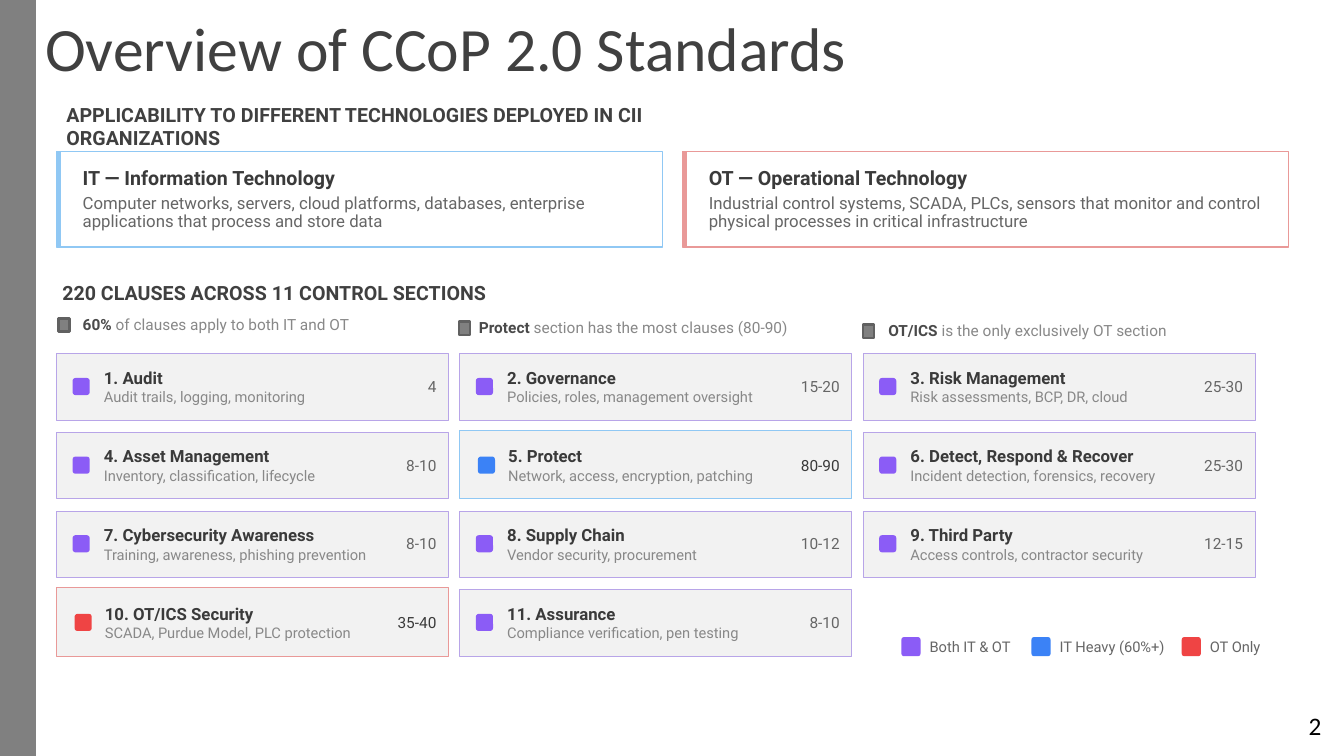
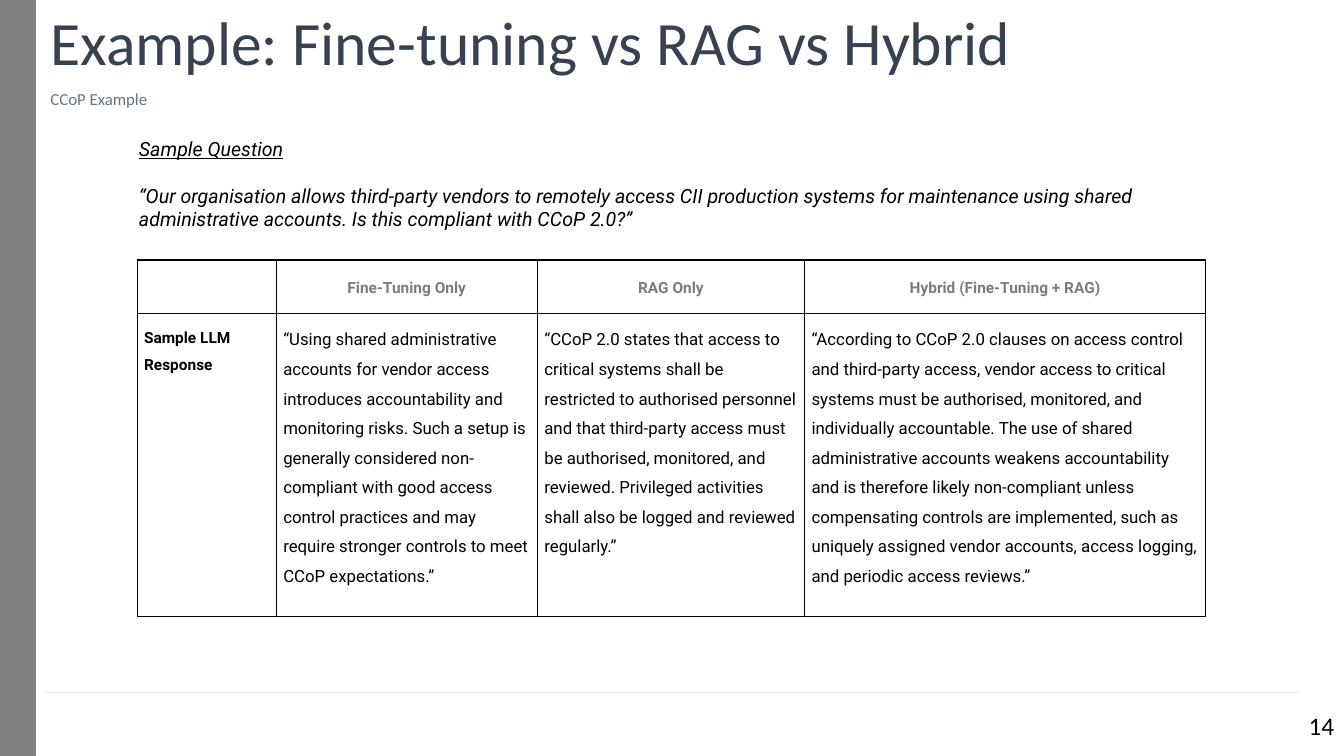
from lxml import etree
from pptx import Presentation
from pptx.dml.color import RGBColor
from pptx.enum import shapes, text
from pptx.oxml import ns
from pptx.util import Inches, Pt

WHITE = RGBColor(0xFF, 0xFF, 0xFF)
BLACK = RGBColor(0, 0, 0)
GRAY = RGBColor(0x80, 0x80, 0x80)
MARKER_EDGE = RGBColor(0x61, 0x61, 0x61)
CARD_GRAY = RGBColor(0xF2, 0xF2, 0xF2)
HEADING = RGBColor(0x40, 0x40, 0x40)
INK = RGBColor(0x3A, 0x3A, 0x3A)
STRONG = RGBColor(0x4A, 0x4A, 0x4A)
BODY = RGBColor(0x66, 0x66, 0x66)
MUTED = RGBColor(0x88, 0x88, 0x88)
SLATE = RGBColor(0x37, 0x41, 0x51)
SUBTITLE = RGBColor(0x64, 0x74, 0x8B)
RULE = RGBColor(0xE2, 0xE8, 0xF0)
TABLE_HEAD = RGBColor(0x7C, 0x7C, 0x7C)
PURPLE = RGBColor(0x8B, 0x5C, 0xF6)
BLUE = RGBColor(0x3B, 0x82, 0xF6)
RED = RGBColor(0xEF, 0x44, 0x44)
PALE_PURPLE = RGBColor(0xB8, 0xA5, 0xE8)
PALE_BLUE = RGBColor(0x90, 0xC8, 0xF4)
PALE_RED = RGBColor(0xE9, 0x99, 0x98)

EDGE = {PURPLE: PALE_PURPLE, BLUE: PALE_BLUE, RED: PALE_RED}

TECHNOLOGIES = [
    ("IT — Information Technology",
     "Computer networks, servers, cloud platforms, databases, enterprise "
     "applications that process and store data", PALE_BLUE),
    ("OT — Operational Technology",
     "Industrial control systems, SCADA, PLCs, sensors that monitor and control "
     "physical processes in critical infrastructure", PALE_RED),
]
HEADINGS = [
    (0.56, 1.1, 7.07, "APPLICABILITY TO DIFFERENT TECHNOLOGIES DEPLOYED IN CII ORGANIZATIONS"),
    (0.52, 2.75, 6.24, "220 CLAUSES ACROSS 11 CONTROL SECTIONS"),
]
NOTES = [
    (0.58, 0.82, 3.13, "60%", " of clauses apply to both IT and OT"),
    (4.55, 4.75, 3.16, "Protect", " section has the most clauses (80-90)"),
    (8.56, 8.81, 3.19, "OT/ICS", " is the only exclusively OT section"),
]
SECTIONS = [
    ("1. Audit", "Audit trails, logging, monitoring", "4", PURPLE),
    ("2. Governance", "Policies, roles, management oversight", "15-20", PURPLE),
    ("3. Risk Management", "Risk assessments, BCP, DR, cloud", "25-30", PURPLE),
    ("4. Asset Management", "Inventory, classification, lifecycle", "8-10", PURPLE),
    ("5. Protect", "Network, access, encryption, patching", "80-90", BLUE),
    ("6. Detect, Respond & Recover", "Incident detection, forensics, recovery", "25-30", PURPLE),
    ("7. Cybersecurity Awareness", "Training, awareness, phishing prevention", "8-10", PURPLE),
    ("8. Supply Chain", "Vendor security, procurement", "10-12", PURPLE),
    ("9. Third Party", "Access controls, contractor security", "12-15", PURPLE),
    ("10. OT/ICS Security", "SCADA, Purdue Model, PLC protection", "35-40", RED),
    ("11. Assurance", "Compliance verification, pen testing", "8-10", PURPLE),
]
LEGEND = [
    (8.94, 0.95, "Both IT & OT", PURPLE),
    (10.23, 1.18, "IT Heavy (60%+)", BLUE),
    (11.72, 0.65, "OT Only", RED),
]
QUESTION_LABEL = "Sample Question"
QUESTION = ("“Our organisation allows third-party vendors to remotely access CII production "
            "systems for maintenance using shared administrative accounts. Is this compliant "
            "with CCoP 2.0?”")
COLUMN_WIDTHS = [1.38, 2.59, 2.65, 3.98]
ROW_HEIGHTS = [0.53, 3.01]
RESPONSES = [
    ["", "Fine-Tuning Only", "RAG Only", "Hybrid (Fine-Tuning + RAG)"],
    ["Sample LLM Response",
     "“Using shared administrative accounts for vendor access introduces accountability and "
     "monitoring risks. Such a setup is generally considered non-compliant with good access "
     "control practices and may require stronger controls to meet CCoP expectations.”",
     "“CCoP 2.0 states that access to critical systems shall be restricted to authorised "
     "personnel and that third-party access must be authorised, monitored, and reviewed. "
     "Privileged activities shall also be logged and reviewed regularly.”",
     "“According to CCoP 2.0 clauses on access control and third-party access, vendor access "
     "to critical systems must be authorised, monitored, and individually accountable. The "
     "use of shared administrative accounts weakens accountability and is therefore likely "
     "non-compliant unless compensating controls are implemented, such as uniquely assigned "
     "vendor accounts, access logging, and periodic access reviews.”"],
]


def add_run(paragraph, words, size, color, bold=False, font="Roboto"):
    run = paragraph.add_run()
    run.text = words
    run.font.name = font
    run.font.size = Pt(size)
    run.font.bold = bold
    run.font.color.rgb = color
    return run


def add_box(slide, left, top, width, height, inset=True):
    box = slide.shapes.add_textbox(Inches(left), Inches(top), Inches(width), Inches(height))
    frame = box.text_frame
    frame.word_wrap = True
    if not inset:
        frame.margin_left = frame.margin_right = frame.margin_top = frame.margin_bottom = 0
    return frame


def add_label(slide, left, top, width, height, words, size, color, spacing,
              bold=False, font="Roboto"):
    paragraph = add_box(slide, left, top, width, height, inset=False).paragraphs[0]
    paragraph.line_spacing = Pt(spacing)
    add_run(paragraph, words, size, color, bold, font)
    return paragraph


def add_block(slide, left, top, width, height, fill, edge=None, weight=1.0, corner=None):
    kind = shapes.MSO_SHAPE.RECTANGLE if corner is None else shapes.MSO_SHAPE.ROUNDED_RECTANGLE
    shape = slide.shapes.add_shape(kind, Inches(left), Inches(top), Inches(width), Inches(height))
    shape.shadow.inherit = False
    shape.fill.solid()
    shape.fill.fore_color.rgb = fill
    if corner is not None:
        shape.adjustments[0] = corner
    if edge is None:
        shape.line.fill.background()
    else:
        shape.line.color.rgb = edge
        shape.line.width = Pt(weight)
    return shape


def add_line(slide, x1, y1, x2, y2, color, weight):
    line = slide.shapes.add_connector(
        shapes.MSO_CONNECTOR.STRAIGHT, Inches(x1), Inches(y1), Inches(x2), Inches(y2))
    line.line.color.rgb = color
    line.line.width = Pt(weight)
    etree.SubElement(line.element.spPr, ns.qn("a:effectLst"))


def add_page_number(slide, number):
    frame = add_box(slide, 12.88, 7, 0.45, 0.4)
    frame.margin_right = 0
    add_run(frame.paragraphs[0], number, 18, BLACK, font="Calibri")


def add_side_band(presentation, slide):
    band = add_block(slide, 0, 0, 0.35, 7.5, GRAY, GRAY, 1.5)
    band.element.xpath("./p:nvSpPr/p:cNvPr")[0].set("id", "99")
    presentation.slide_master.shapes.element.append(band.element)


def add_technology(slide, index, name, description, color):
    left, top, height = 0.56 + index * 6.21, 1.5, 0.95
    add_block(slide, left, top, 6.01, height, WHITE, color)
    add_line(slide, left + 0.02, top, left + 0.02, top + height, color, 3)
    add_label(slide, left + 0.26, top + 0.17, 5.65, 0.21, name, 14, INK, 15.4, bold=True)
    add_label(slide, left + 0.26, top + 0.44, 5.65, 0.35, description, 12, BODY, 12.6)


def add_section(slide, index, name, topics, count, color):
    row, column = divmod(index, 3)
    left, top = 0.56 + column * 4, 3.51 + row * 0.78
    special = color != PURPLE
    lift = 0.02 if special else 0
    add_block(slide, left, top - lift, 3.89, 0.66 + lift, CARD_GRAY, EDGE[color], 0.75)
    add_block(slide, left + 0.16 + lift, top + 0.24, 0.17, 0.17, color, corner=0.167)
    text_left = left + 0.47 + lift / 2
    add_label(slide, text_left, top + 0.14, 2.85, 0.19, name, 12, INK, 14, bold=True)
    add_label(slide, text_left, top + 0.36, 2.85, 0.16, topics, 10.5, MUTED, 11.2)
    amount = add_label(slide, left + 3.27, top + 0.24, 0.5, 0.17, count, 11,
                       INK if special else BODY, 12.6)
    amount.alignment = text.PP_ALIGN.RIGHT


def build_overview(slide):
    title = add_box(slide, 0.35, 0.13, 9.91, 0.87).paragraphs[0]
    title.line_spacing = 0.9
    add_run(title, "Overview of CCoP 2.0 Standards", 44, HEADING, font="Calibri")
    for left, top, width, words in HEADINGS:
        frame = add_box(slide, left, top, width, 0.3)
        frame.vertical_anchor = text.MSO_ANCHOR.MIDDLE
        add_run(frame.paragraphs[0], words, 14, HEADING, bold=True)
    for index, technology in enumerate(TECHNOLOGIES):
        add_technology(slide, index, *technology)
    for marker_left, left, top, lead, rest in NOTES:
        add_block(slide, marker_left, top + 0.03, 0.11, 0.13, GRAY, MARKER_EDGE, 1.5)
        note = add_label(slide, left, top, 3.11, 0.19, lead, 11, STRONG, 12.6, bold=True)
        add_run(note, rest, 11, MUTED)
    for index, section in enumerate(SECTIONS):
        add_section(slide, index, *section)
    for left, width, words, color in LEGEND:
        add_block(slide, left, 6.32, 0.19, 0.19, color, corner=0.143)
        add_label(slide, left + 0.28, 6.33, width, 0.17, words, 10.5, BODY, 12.6)
    add_page_number(slide, "2")


def style_cell(cell):
    properties = cell._tc.get_or_add_tcPr()
    for side in ("lnL", "lnR", "lnT", "lnB"):
        border = etree.SubElement(properties, ns.qn("a:" + side), w=str(Pt(1)))
        fill = etree.SubElement(border, ns.qn("a:solidFill"))
        etree.SubElement(fill, ns.qn("a:srgbClr"), val=str(BLACK))
    cell.fill.solid()
    cell.fill.fore_color.rgb = WHITE
    cell.margin_left = cell.margin_right = Inches(0.07)
    cell.margin_top = cell.margin_bottom = Inches(0.07)


def add_response_table(slide):
    table = slide.shapes.add_table(
        len(ROW_HEIGHTS), len(COLUMN_WIDTHS), Inches(1.36), Inches(2.58),
        Inches(sum(COLUMN_WIDTHS)), Inches(sum(ROW_HEIGHTS))).table
    table.first_row = table.horz_banding = False
    for column, width in zip(table.columns, COLUMN_WIDTHS):
        column.width = Inches(width)
    for row_index, height in enumerate(ROW_HEIGHTS):
        table.rows[row_index].height = Inches(height)
        for column_index, words in enumerate(RESPONSES[row_index]):
            cell = table.cell(row_index, column_index)
            style_cell(cell)
            if not words:
                continue
            paragraph = cell.text_frame.paragraphs[0]
            header = row_index == 0
            label = header or column_index == 0
            paragraph.line_spacing = 1.15 if header else 1.5
            if header:
                cell.vertical_anchor = text.MSO_ANCHOR.MIDDLE
                paragraph.alignment = text.PP_ALIGN.CENTER
            add_run(paragraph, words, 11 if label else 12,
                    TABLE_HEAD if header else BLACK, bold=label)


def build_example(slide):
    add_label(slide, 0.5, 0.33, 12.39, 0.44, "Example: Fine-tuning vs RAG vs Hybrid",
              44, SLATE, 32, font="Calibri")
    add_label(slide, 0.5, 0.83, 12.69, 0.25, "CCoP Example", 12, SUBTITLE, 18.2, font="Calibri")
    add_line(slide, 0.44, 6.87, 12.89, 6.87, RULE, 0.75)
    add_response_table(slide)
    add_page_number(slide, "14")
    frame = add_box(slide, 1.28, 1.31, 10.77, 1.28)
    label = add_run(frame.paragraphs[0], QUESTION_LABEL, 14, BLACK)
    label.font.italic = label.font.underline = True
    paragraph = frame.add_paragraph()
    paragraph.space_before = Pt(16.5)
    add_run(paragraph, QUESTION, 14, BLACK).font.italic = True


def main():
    presentation = Presentation()
    presentation.slide_width = Inches(13.33)
    presentation.slide_height = Inches(7.5)
    overview, example = [
        presentation.slides.add_slide(presentation.slide_layouts[6]) for _ in range(2)]
    add_side_band(presentation, overview)
    build_overview(overview)
    build_example(example)
    presentation.save("out.pptx")


if __name__ == "__main__":
    main()
